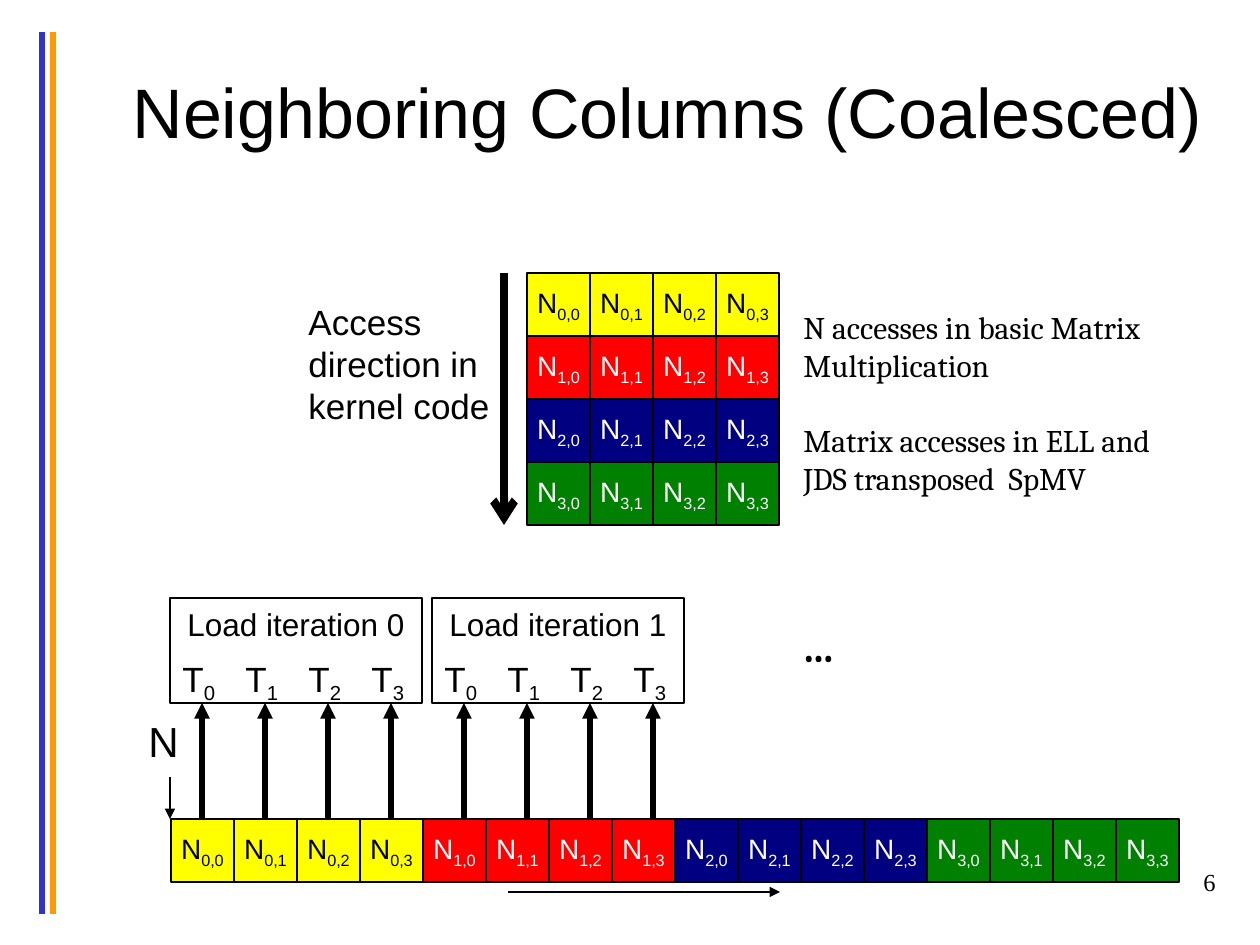
from dataclasses import dataclass

from lxml.etree import SubElement
from pptx import Presentation
from pptx.dml.color import RGBColor
from pptx.enum.shapes import MSO_CONNECTOR as Connector, MSO_SHAPE as Preset
from pptx.enum.text import MSO_ANCHOR as Anchor, PP_ALIGN as Align
from pptx.oxml.ns import qn
from pptx.util import Pt

EMU_PER_PX = 914400 / 126


def px(length):
    return round(length * EMU_PER_PX)


@dataclass(frozen=True)
class Theme:
    black: str = "000000"
    white: str = "FFFFFF"
    blue_rule: str = "3333CC"
    orange_rule: str = "FF9900"
    row_fills: tuple = ("FFFF00", "FF0000", "000080", "008000")
    row_inks: tuple = ("000000", "FFFFFF", "FFFFFF", "FFFFFF")
    sans: str = "Arial"
    serif: str = "Cambria"
    number_font: str = "Times New Roman"
    title: int = 40
    large: int = 24
    label: int = 20
    note: int = 18
    cell: int = 16
    number: int = 14
    thin: float = 0.75
    thick: float = 3
    heavy: float = 4.5


class SlideBuilder:
    def __init__(self, slide, theme):
        self.slide = slide
        self.theme = theme

    def run(self, paragraph, text, size, font, color, bold=False, subscript=False):
        run = paragraph.add_run()
        run.text = text
        run.font.size = Pt(size)
        run.font.name = font
        run.font.bold = bold
        run.font.color.rgb = RGBColor.from_string(color)
        if subscript:
            run._r.get_or_add_rPr().set("baseline", "-25000")

    def indexed(self, paragraph, name, index, size, color):
        self.run(paragraph, name, size, self.theme.sans, color)
        self.run(paragraph, index, size, self.theme.sans, color, subscript=True)

    def frame(self, left, top, width, height, wrap=False, anchor=Anchor.TOP):
        box = self.slide.shapes.add_textbox(px(left), px(top), px(width), px(height))
        box.text_frame.word_wrap = wrap
        box.text_frame.vertical_anchor = anchor
        return box.text_frame

    def text(self, left, top, width, height, text, size, font=None,
             align=Align.LEFT, bold=False, **layout):
        frame = self.frame(left, top, width, height, **layout)
        paragraph = frame.paragraphs[0]
        paragraph.alignment = align
        self.run(paragraph, text, size, font or self.theme.sans, self.theme.black, bold)
        return frame

    def thread(self, left, top, index):
        paragraph = self.frame(left, top, 60, 55).paragraphs[0]
        self.indexed(paragraph, "T", str(index), self.theme.label, self.theme.black)

    def rectangle(self, left, top, width, height, fill=None):
        shape = self.slide.shapes.add_shape(
            Preset.RECTANGLE, px(left), px(top), px(width), px(height))
        shape.shadow.inherit = False
        if fill:
            shape.fill.solid()
            shape.fill.fore_color.rgb = RGBColor.from_string(fill)
        else:
            shape.fill.background()
        shape.line.color.rgb = RGBColor.from_string(self.theme.black)
        shape.line.width = Pt(self.theme.thin)
        return shape

    def cell(self, left, top, side, row, column):
        shape = self.rectangle(left, top, side, side, self.theme.row_fills[row])
        frame = shape.text_frame
        frame.word_wrap = False
        frame.vertical_anchor = Anchor.MIDDLE
        paragraph = frame.paragraphs[0]
        paragraph.alignment = Align.CENTER
        self.indexed(paragraph, "N", f"{row},{column}", self.theme.cell,
                     self.theme.row_inks[row])

    def line(self, start, end, width, color=None, head=None):
        connector = self.slide.shapes.add_connector(
            Connector.STRAIGHT, *map(px, (*start, *end)))
        connector.line.width = Pt(width)
        connector.line.color.rgb = RGBColor.from_string(color or self.theme.black)
        properties = connector._element.spPr
        if head:
            SubElement(properties.find(qn("a:ln")), qn("a:tailEnd"), type=head)
        SubElement(properties, qn("a:effectLst"))


def main():
    presentation = Presentation()
    presentation.slide_width = px(1260)
    presentation.slide_height = px(945)
    slide = presentation.slides.add_slide(presentation.slide_layouts[6])
    theme = Theme()
    builder = SlideBuilder(slide, theme)

    for left, color in ((42, theme.blue_rule), (53, theme.orange_rule)):
        builder.line((left, 32), (left, 914), theme.thick, color)
    builder.text(95, 32, 1144, 158, "Neighboring Columns (Coalesced)", theme.title,
                 align=Align.CENTER, wrap=True, anchor=Anchor.MIDDLE)
    builder.text(966, 861, 262, 63, "6", theme.number, theme.number_font,
                 align=Align.RIGHT, wrap=True)

    side, count = 63, 4
    matrix_left, matrix_top = 527, 273
    memory_left, memory_top = 171, 819
    for row in range(count):
        for column in range(count):
            builder.cell(matrix_left + column * side, matrix_top + row * side,
                         side, row, column)
            builder.cell(memory_left + (row * count + column) * side, memory_top,
                         side, row, column)

    builder.text(296, 294, 210, 140, "Access direction in kernel code",
                 theme.label, wrap=True)
    builder.line((504, matrix_top), (504, matrix_top + count * side),
                 theme.heavy, head="arrow")

    load_top, load_height = 598, 105
    for iteration, left in enumerate((170, 432)):
        builder.rectangle(left, load_top, count * side, load_height)
        builder.text(left + 5, load_top + 1, 244, 50,
                     f"Load iteration {iteration}", theme.note)
        for index in range(count):
            thread_left = left + index * side
            builder.thread(thread_left, 651, index)
            builder.line((thread_left + 32, memory_top),
                         (thread_left + 32, load_top + load_height),
                         theme.thick, head="triangle")

    builder.text(136, 709, 57, 63, "N", theme.large)
    builder.line((170, 777), (170, memory_top), theme.thin, head="triangle")
    builder.line((508, 892), (780, 892), theme.thin, head="triangle")
    builder.text(790, 614, 67, 63, "…", theme.large, theme.serif, bold=True)

    notes = builder.text(791, 302, 417, 204, "N accesses in basic Matrix Multiplication",
                         theme.note, theme.serif, wrap=True)
    paragraph = notes.add_paragraph()
    paragraph.space_before = Pt(21.5)
    builder.run(paragraph, "Matrix accesses in ELL and JDS transposed  SpMV",
                theme.note, theme.serif, theme.black)

    presentation.save("out.pptx")


if __name__ == "__main__":
    main()
